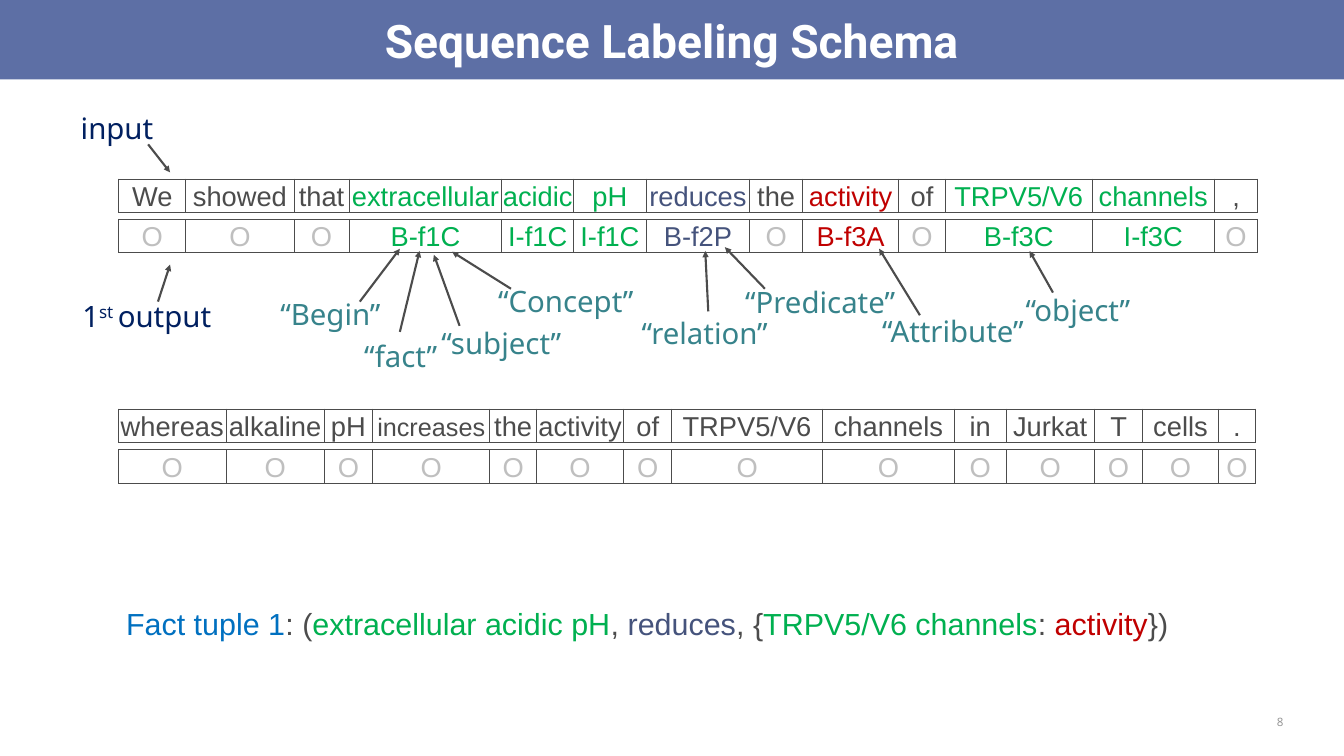
from lxml import etree
from pptx import Presentation
from pptx import util as u
from pptx.dml.color import RGBColor
from pptx.enum import shapes, text
from pptx.oxml import ns

WHITE = RGBColor(0xFF, 0xFF, 0xFF)
BANNER = RGBColor(0x5D, 0x6F, 0xA5)
INK = RGBColor(0x4C, 0x4C, 0x4C)
PALE = RGBColor(0xBF, 0xBF, 0xBF)
CONCEPT = RGBColor(0x00, 0xB0, 0x50)
PREDICATE = RGBColor(0x45, 0x53, 0x7C)
ATTRIBUTE = RGBColor(0xC0, 0x00, 0x00)
NAVY = RGBColor(0x01, 0x20, 0x60)
TEAL = RGBColor(0x37, 0x83, 0x8B)
BLUE = RGBColor(0x00, 0x70, 0xC0)
GREY = RGBColor(0x96, 0x96, 0x96)

TABLE_LEFT, ROW_HEIGHT = 1.57, 0.44
TAG_COLORS = {"C": CONCEPT, "P": PREDICATE, "A": ATTRIBUTE}

# word, tag, column width
FIRST_HALF = [
    ("We", "O", 0.89), ("showed", "O", 1.43), ("that", "O", 0.73),
    ("extracellular", "B-f1C", 2.02), ("acidic", "I-f1C", 0.95),
    ("pH", "I-f1C", 0.96), ("reduces", "B-f2P", 1.37), ("the", "O", 0.7),
    ("activity", "B-f3A", 1.27), ("of", "O", 0.62),
    ("TRPV5/V6", "B-f3C", 1.94), ("channels", "I-f3C", 1.62), (",", "O", 0.57),
]
SECOND_HALF = [
    ("whereas", "O", 1.42), ("alkaline", "O", 1.3), ("pH", "O", 0.64),
    ("increases", "O", 1.55), ("the", "O", 0.62), ("activity", "O", 1.15),
    ("of", "O", 0.64), ("TRPV5/V6", "O", 1.99), ("channels", "O", 1.75),
    ("in", "O", 0.68), ("Jurkat", "O", 1.17), ("T", "O", 0.64),
    ("cells", "O", 1), (".", "O", 0.49),
]

# label, left, top, width, arrow start, arrow end
TAG_PARTS = [
    ("“Begin”", 3.61, 3.87, 1.56, (4.76, 3.99), (5.29, 3.29)),
    ("“fact”", 4.72, 4.43, 1.22, (5.29, 4.39), (5.55, 3.32)),
    ("“subject”", 5.74, 4.25, 1.89, (6.08, 4.31), (5.74, 3.37)),
    ("“Concept”", 6.49, 3.69, 2.09, (6.76, 3.82), (5.98, 3.33)),
    ("“relation”", 8.39, 4.12, 1.97, (9.37, 4.12), (9.33, 3.32)),
    ("“Predicate”", 9.76, 3.71, 2.26, (10.12, 3.82), (9.59, 3.27)),
    ("“Attribute”", 11.57, 4.09, 2.21, (12.17, 4.17), (11.63, 3.29)),
    ("“object”", 13.47, 3.81, 1.69, (13.93, 3.87), (13.62, 3.32)),
]
FACT_TUPLE = [
    ("Fact tuple 1", BLUE), (": (", INK), ("extracellular acidic pH", CONCEPT),
    (", ", INK), ("reduces", PREDICATE), (", {", INK),
    ("TRPV5/V6 channels", CONCEPT), (": ", INK), ("activity", ATTRIBUTE),
    ("})", INK),
]


class SchemaSlide:
    def __init__(self, slide):
        self.slide = slide

    def style(self, paragraph, font_name, size, color=None):
        font = paragraph.font
        font.name, font.size = font_name, u.Pt(size)
        if color is not None:
            font.color.rgb = color

    def title(self, wording):
        banner = self.slide.shapes.title
        banner.left, banner.top = u.Inches(-0.02), 0
        banner.width, banner.height = u.Inches(17.82), u.Inches(1.05)
        banner.fill.solid()
        banner.fill.fore_color.rgb = BANNER
        frame = banner.text_frame
        frame.text = wording
        frame.auto_size = text.MSO_AUTO_SIZE.NONE
        frame.vertical_anchor = text.MSO_ANCHOR.MIDDLE
        heading = frame.paragraphs[0]
        heading.alignment = text.PP_ALIGN.CENTER
        self.style(heading, "Roboto", 44, WHITE)
        heading.font.bold = True

    def text_box(self, left, top, width, height, wrap=False):
        """Add an empty text box and return its first paragraph."""
        frame = self.slide.shapes.add_textbox(
            *map(u.Inches, (left, top, width, height))).text_frame
        frame.word_wrap = wrap
        frame.auto_size = text.MSO_AUTO_SIZE.SHAPE_TO_FIT_TEXT
        return frame.paragraphs[0]

    def label(self, wording, left, top, width, color):
        """Add a label; a part after ^ and before the next ^ is raised."""
        paragraph = self.text_box(left, top, width, 0.57)
        for index, part in enumerate(wording.split("^")):
            run = paragraph.add_run()
            run.text = part
            if index % 2:
                run.font._element.set("baseline", "30000")
        self.style(paragraph, "Noto Sans", 28, color)

    def colored_line(self, parts, left, top, width):
        paragraph = self.text_box(left, top, width, 0.59, wrap=True)
        for wording, color in parts:
            run = paragraph.add_run()
            run.text = wording
            run.font.color.rgb = color
        self.style(paragraph, "Arial", 29)

    def page_number(self, number):
        paragraph = self.text_box(16.53, 9.42, 0.61, 0.26, wrap=True)
        paragraph.text = number
        paragraph.alignment = text.PP_ALIGN.RIGHT
        self.style(paragraph, "Noto Sans", 11, GREY)
        frame = self.slide.shapes[-1].text_frame
        frame.auto_size = text.MSO_AUTO_SIZE.NONE
        frame.vertical_anchor = text.MSO_ANCHOR.MIDDLE
        frame.margin_left = frame.margin_right = u.Inches(0.16)
        frame.margin_top = frame.margin_bottom = u.Inches(0.08)

    def arrow(self, start, end):
        line = self.slide.shapes.add_connector(
            shapes.MSO_CONNECTOR.STRAIGHT, *map(u.Inches, start + end))
        line.line.color.rgb = INK
        line.line.width = u.Pt(2)
        etree.SubElement(line.line._get_or_add_ln(), ns.qn("a:tailEnd"), type="triangle")
        etree.SubElement(line._element.spPr, ns.qn("a:effectLst"))

    def border(self, cell):
        properties = cell._tc.get_or_add_tcPr()
        for side in ("lnL", "lnR", "lnT", "lnB"):
            edge = etree.SubElement(properties, ns.qn("a:" + side), w=str(u.Pt(1)))
            fill = etree.SubElement(edge, ns.qn("a:solidFill"))
            etree.SubElement(fill, ns.qn("a:srgbClr"), val=str(INK))

    def token_row(self, top, wordings, colors, widths):
        table = self.slide.shapes.add_table(
            1, len(wordings), u.Inches(TABLE_LEFT), u.Inches(top),
            u.Inches(sum(widths)), u.Inches(ROW_HEIGHT)).table
        table.first_row = table.horz_banding = False
        for index, (wording, color, width) in enumerate(zip(wordings, colors, widths)):
            table.columns[index].width = u.Inches(width)
            cell = table.cell(0, index)
            self.border(cell)
            cell.fill.background()
            cell.vertical_anchor = text.MSO_ANCHOR.BOTTOM
            cell.margin_left = cell.margin_right = cell.margin_top = u.Inches(0.01)
            cell.margin_bottom = 0
            cell.text = wording
            paragraph = cell.text_frame.paragraphs[0]
            paragraph.alignment = text.PP_ALIGN.CENTER
            self.style(paragraph, "Arial", 24 if wording == "increases" else 26, color)

    def tagged_tokens(self, tokens, word_top, tag_top):
        """Add a row of words and the row of their tags below it."""
        words, tags, widths = zip(*tokens)
        self.token_row(word_top, words, [TAG_COLORS.get(tag[-1], INK) for tag in tags], widths)
        self.token_row(tag_top, tags, [TAG_COLORS.get(tag[-1], PALE) for tag in tags], widths)


def main():
    deck = Presentation()
    deck.slide_width, deck.slide_height = u.Inches(17.78), u.Inches(10)
    page = SchemaSlide(deck.slides.add_slide(deck.slide_layouts[5]))

    page.title("Sequence Labeling Schema")
    page.tagged_tokens(FIRST_HALF, 2.37, 2.9)
    page.tagged_tokens(SECOND_HALF, 5.41, 5.95)

    page.label("input", 0.97, 1.41, 1.2, NAVY)
    page.arrow((1.96, 1.91), (2.25, 2.28))
    page.label("1^st ^output", 0.99, 3.89, 2.08, NAVY)
    page.arrow((2.09, 3.99), (2.25, 3.5))
    for wording, left, top, width, start, end in TAG_PARTS:
        page.label(wording, left, top, width, TEAL)
        page.arrow(start, end)

    page.colored_line(FACT_TUPLE, TABLE_LEFT, 7.96, 15.07)
    page.page_number("8")
    deck.save("out.pptx")


if __name__ == "__main__":
    main()
